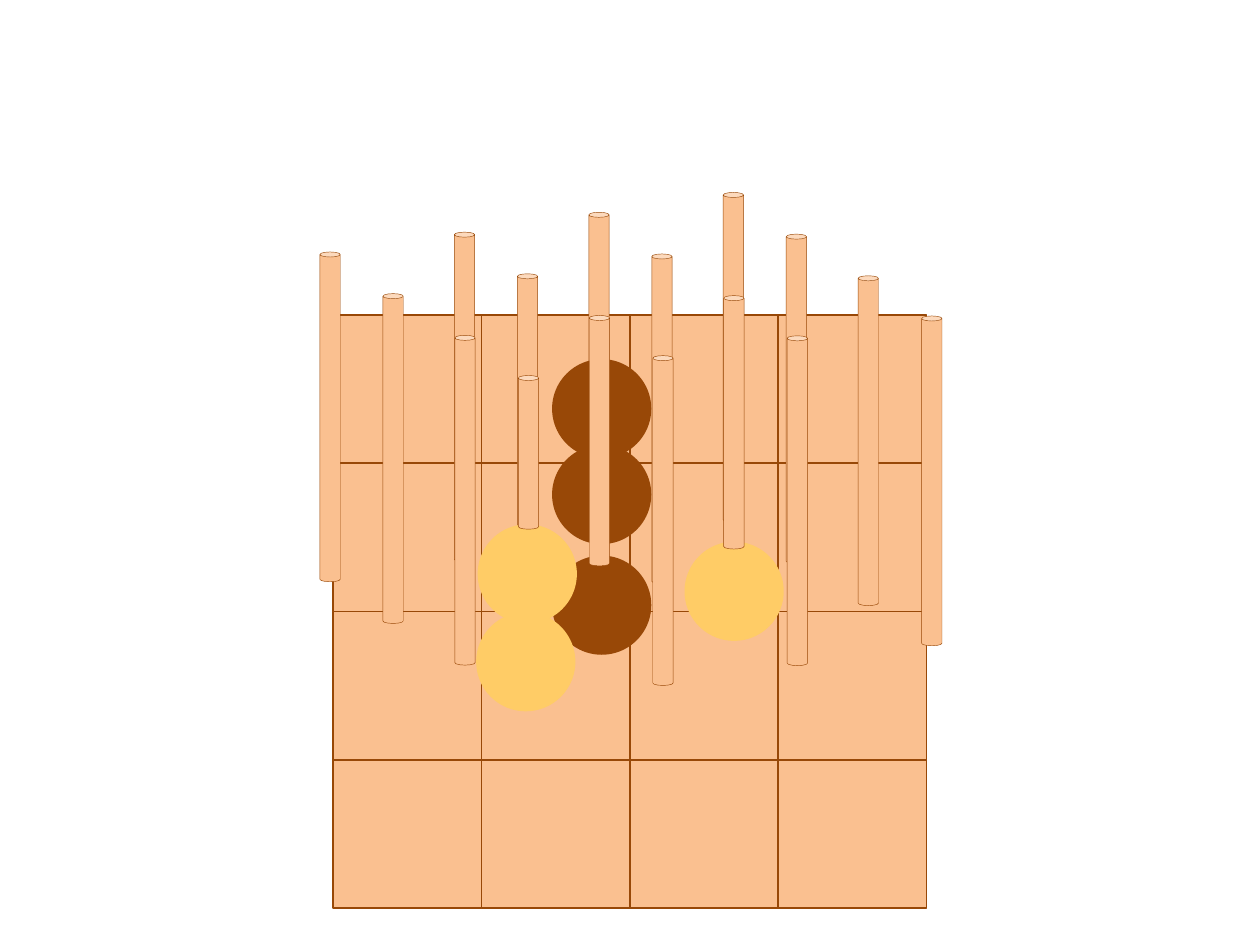
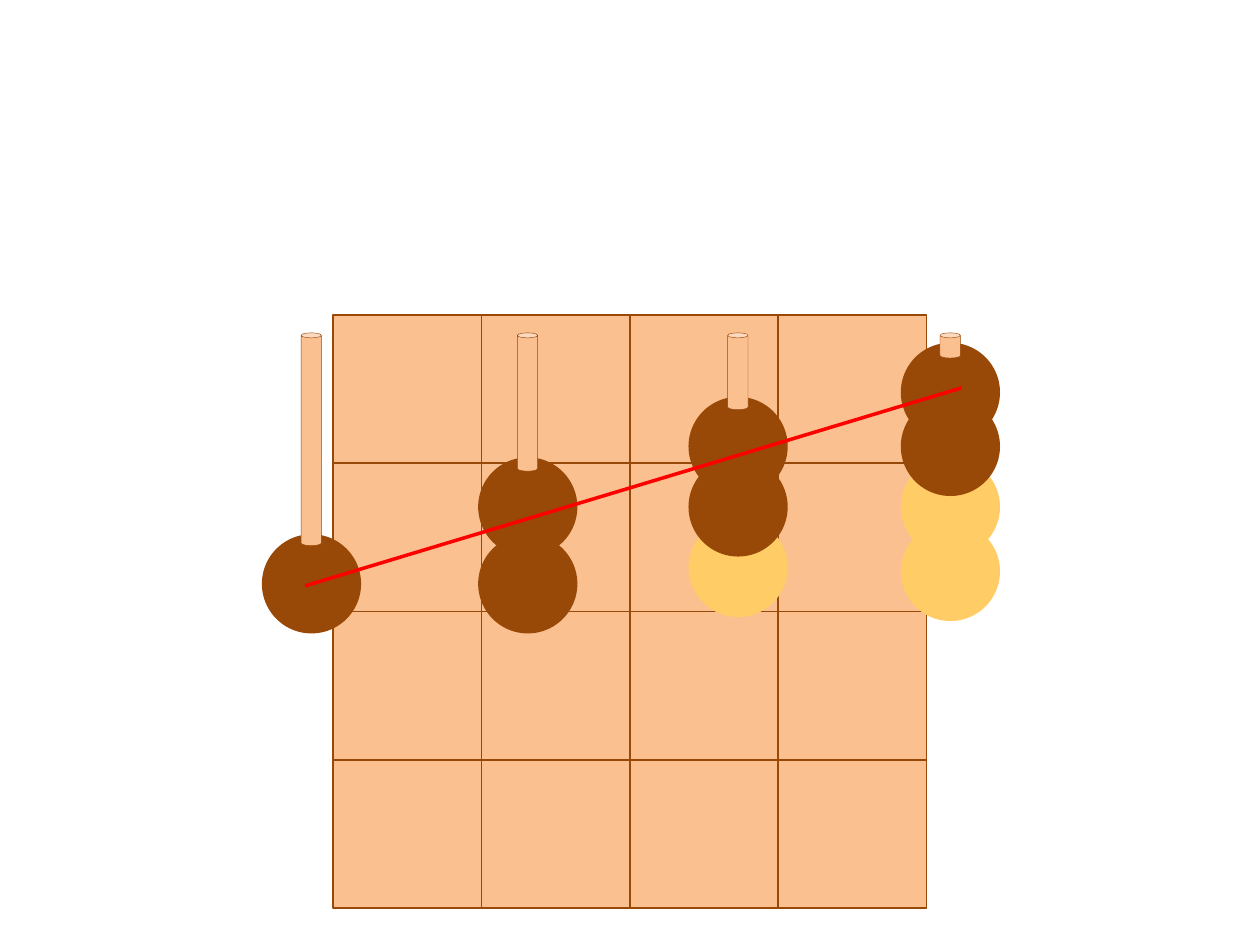
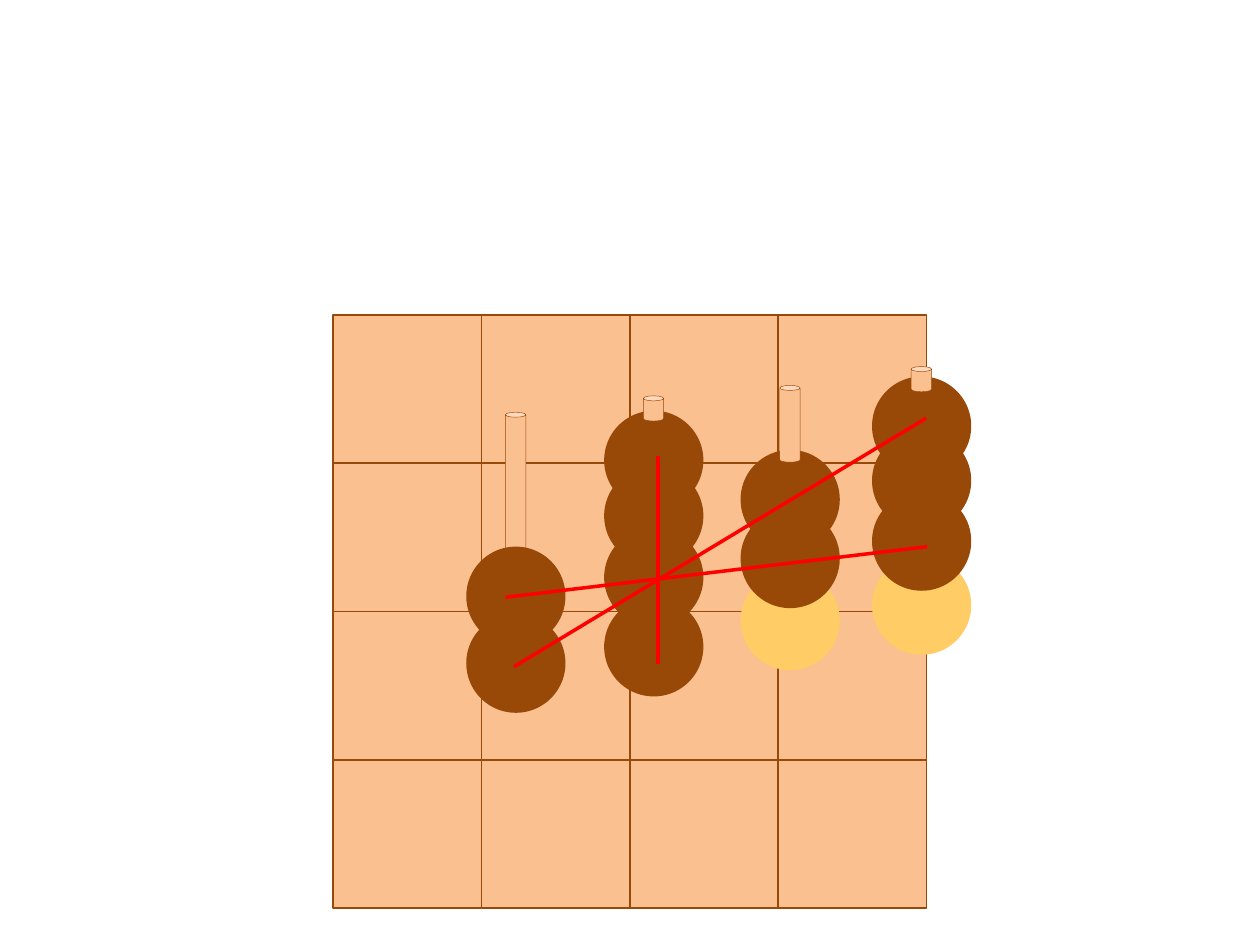
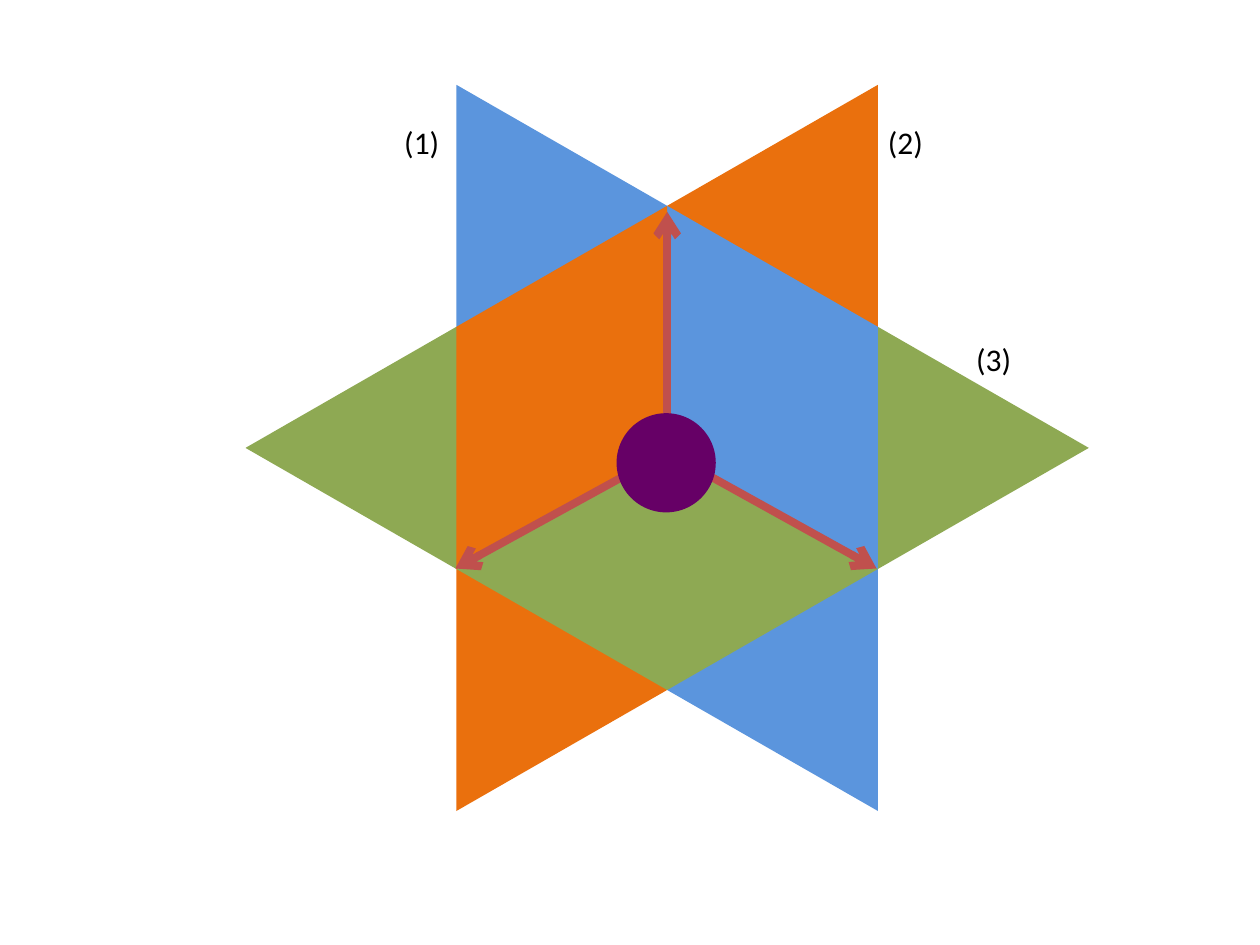
from collections import namedtuple
from dataclasses import dataclass
from itertools import product

from lxml.etree import SubElement
from pptx import Presentation
from pptx.dml.color import RGBColor
from pptx.enum.shapes import MSO_CONNECTOR as Connector, MSO_SHAPE as Preset
from pptx.enum.text import MSO_AUTO_SIZE as AutoSize
from pptx.oxml.ns import qn
from pptx.util import Cm, Pt


@dataclass(frozen=True)
class Theme:
    wood: str = "FAC090"
    dark: str = "984807"
    light: str = "FFCC66"
    winning: str = "FF0000"
    blue: str = "5B95DD"
    orange: str = "EA700D"
    green: str = "8EA953"
    arrow: str = "C0504D"
    hub: str = "660066"
    text: str = "000000"
    font: str = "Calibri"
    label_size: float = 18
    cell_line: float = 1
    peg_line: float = 0.25
    winning_line: float = 2
    arrow_line: float = 4.5


THEME = Theme()
Box = namedtuple("Box", "left top width height")
Peg = namedtuple("Peg", "row column height", defaults=[6.65])
Disc = namedtuple("Disc", "colour x y")
Stack = namedtuple("Stack", "x discs peg_top peg_height front", defaults=[()])

PAGE_SIZE = {"slide_width": Cm(25.4), "slide_height": Cm(19.05)}
BOARD = Box(6.72, 6.35, 11.96, 11.96)
STAR = Box(4.95, 1.71, 17, 14.64)
CELLS = 4
DISC_SIZE = 2
PEG_WIDTH = 0.41
PEG_INSET = 0.79

PEG_ROWS = [(-0.27, -1.27), (1, -0.43), (2.45, 0.41), (3.73, 1.22)]
PEG_STEP = (2.71, -0.4)

DARK, LIGHT = THEME.dark, THEME.light
PERSPECTIVE_PIECES = [
    *(Peg(0, column) for column in range(CELLS)),
    Peg(1, 0), Peg(1, 1),
    Disc(DARK, 4.41, 2.62), Disc(DARK, 4.41, 0.89),
    Peg(1, 2), Peg(1, 3),
    Disc(LIGHT, 7.08, 4.57),
    Peg(2, 0), Peg(2, 2, 5.11), Peg(2, 3),
    Peg(3, 1), Peg(3, 2), Peg(3, 3),
    Disc(DARK, 4.41, 4.85), Disc(LIGHT, 2.88, 5.99),
    Peg(2, 1, 5.05),
    Disc(LIGHT, 2.91, 4.22),
    Peg(3, 0, 3.1),
]

STAIR_STACKS = [
    Stack(-1.44, [(DARK, 4.42)], 0.36, 4.29),
    Stack(2.92, [(DARK, 4.42), (DARK, 2.87)], 0.36, 2.79),
    Stack(7.16, [(LIGHT, 4.09), (DARK, 2.87), (DARK, 1.65)], 0.36, 1.55),
    Stack(11.44, [(LIGHT, 4.17), (LIGHT, 2.87), (DARK, 1.65), (DARK, 0.56)],
          0.36, 0.51),
]
STAIR_LINES = [((-0.57, 5.46), (12.66, 1.47))]

CROSSING_STACKS = [
    Stack(2.68, [(DARK, 6.02)], 1.96, 4.29, [(DARK, 4.67)]),
    Stack(5.46, [(DARK, 5.69), (DARK, 4.29), (DARK, 3.05), (DARK, 1.93)],
          1.63, 0.51),
    Stack(8.21, [(LIGHT, 5.16), (DARK, 3.91), (DARK, 2.72)], 1.42, 1.55),
    Stack(10.86, [(LIGHT, 4.85), (DARK, 3.56), (DARK, 2.34), (DARK, 1.24)],
          1.04, 0.51),
]
CROSSING_LINES = [
    ((3.64, 7.09), (11.95, 2.08)),
    ((3.47, 5.69), (11.97, 4.67)),
    ((6.54, 7.04), (6.54, 2.84)),
]

TILE_CORNERS = {
    THEME.blue: [(0, 0), (1, 1), (1, 3), (0, 2)],
    THEME.orange: [(0, 0), (1, -1), (1, 1), (0, 2)],
    THEME.green: [(0, 0), (1, -1), (2, 0), (1, 1)],
}
TILES = [
    (THEME.green, 0, 0),
    (THEME.orange, 0, -2),
    (THEME.green, -2, 0),
    (THEME.blue, -1, -3),
    (THEME.blue, 0, -2),
    (THEME.blue, 0, 0),
    (THEME.orange, -1, 1),
    (THEME.green, -1, 1),
    (THEME.orange, -1, -1),
]
ARROW_START = (0, 0.09)
ARROW_TIPS = [(0, -4.76), (-4.27, 2.43), (4.22, 2.43)]
HUB_CENTRE = (-0.02, 0.3)
LABELS = [("(1)", -5.55, -6.67), ("(2)", 4.2, -6.67), ("(3)", 5.98, -2.3)]
LABEL_SIZE = (1.55, 1.02)


def set_values(target, values):
    for name, value in values.items():
        setattr(target, name, value)


def paint(shape, fill, line=None, weight=0):
    shape.shadow.inherit = False
    shape.fill.solid()
    shape.fill.fore_color.rgb = RGBColor.from_string(fill)
    if line:
        shape.line.color.rgb = RGBColor.from_string(line)
        shape.line.width = Pt(weight)
    else:
        shape.line.fill.background()


def add_preset(page, preset, box, fill, line=None, weight=0):
    shape = page.shapes.add_shape(preset, *map(Cm, box))
    paint(shape, fill, line, weight)


def add_disc(page, colour, left, top):
    add_preset(page, Preset.OVAL, Box(left, top, DISC_SIZE, DISC_SIZE), colour)


def add_peg(page, left, top, height):
    add_preset(page, Preset.CAN, Box(left, top, PEG_WIDTH, height),
               THEME.wood, THEME.dark, THEME.peg_line)


def add_line(page, origin, start, end, colour, weight, arrow=False):
    ends = [Cm(base + offset) for point in (start, end)
            for base, offset in zip(origin, point)]
    connector = page.shapes.add_connector(Connector.STRAIGHT, *ends)
    connector.line.color.rgb = RGBColor.from_string(colour)
    connector.line.width = Pt(weight)
    properties = connector.element.spPr
    if arrow:
        SubElement(properties.find(qn("a:ln")), qn("a:tailEnd"), type="arrow")
    SubElement(properties, qn("a:effectLst"))


def add_board(page, box):
    width, height = box.width / CELLS, box.height / CELLS
    for row, column in product(reversed(range(CELLS)), range(CELLS)):
        cell = Box(box.left + column * width, box.top + row * height, width, height)
        add_preset(page, Preset.RECTANGLE, cell,
                   THEME.wood, THEME.dark, THEME.cell_line)


def add_stack(page, box, stack):
    left = box.left + stack.x
    for colour, y in stack.discs:
        add_disc(page, colour, left, box.top + y)
    add_peg(page, left + PEG_INSET, box.top + stack.peg_top, stack.peg_height)
    for colour, y in stack.front:
        add_disc(page, colour, left, box.top + y)


def add_perspective_game(page, box):
    add_board(page, box)
    for piece in PERSPECTIVE_PIECES:
        if isinstance(piece, Disc):
            add_disc(page, piece.colour, box.left + piece.x, box.top + piece.y)
        else:
            x, y = (start + piece.column * step
                    for start, step in zip(PEG_ROWS[piece.row], PEG_STEP))
            add_peg(page, box.left + x, box.top + y, piece.height)


def add_winning_game(page, box, stacks, lines):
    add_board(page, box)
    for stack in stacks:
        add_stack(page, box, stack)
    for start, end in lines:
        add_line(page, (box.left, box.top), start, end,
                 THEME.winning, THEME.winning_line)


def add_tile(page, hub, step, colour, column, row):
    corners = [(Cm(hub[0] + (column + x) * step[0]),
                Cm(hub[1] + (row + y) * step[1]))
               for x, y in TILE_CORNERS[colour]]
    builder = page.shapes.build_freeform(*corners[0])
    builder.add_line_segments(corners[1:], close=True)
    paint(builder.convert_to_shape(), colour)


def add_label(page, box, text):
    label = page.shapes.add_textbox(*map(Cm, box))
    set_values(label.text_frame, {"word_wrap": True,
                                  "auto_size": AutoSize.SHAPE_TO_FIT_TEXT})
    span = label.text_frame.paragraphs[0].add_run()
    span.text = text
    set_values(span.font, {"name": THEME.font, "size": Pt(THEME.label_size)})
    span.font.color.rgb = RGBColor.from_string(THEME.text)


def add_plane_star(page, box):
    hub = (box.left + box.width / 2, box.top + box.height / 2)
    step = (box.width / 4, box.height / 6)
    for tile in TILES:
        add_tile(page, hub, step, *tile)
    for tip in ARROW_TIPS:
        add_line(page, hub, ARROW_START, tip,
                 THEME.arrow, THEME.arrow_line, arrow=True)
    left, top = (base + offset - DISC_SIZE / 2
                 for base, offset in zip(hub, HUB_CENTRE))
    add_disc(page, THEME.hub, left, top)
    for text, x, y in LABELS:
        add_label(page, Box(hub[0] + x, hub[1] + y, *LABEL_SIZE), text)


def main():
    deck = Presentation()
    set_values(deck, PAGE_SIZE)
    blank = deck.slide_layouts.get_by_name("Blank")
    builders = [
        (add_perspective_game, BOARD),
        (add_winning_game, BOARD, STAIR_STACKS, STAIR_LINES),
        (add_winning_game, BOARD, CROSSING_STACKS, CROSSING_LINES),
        (add_plane_star, STAR),
    ]
    for build, *parts in builders:
        build(deck.slides.add_slide(blank), *parts)
    deck.save("out.pptx")


if __name__ == "__main__":
    main()
